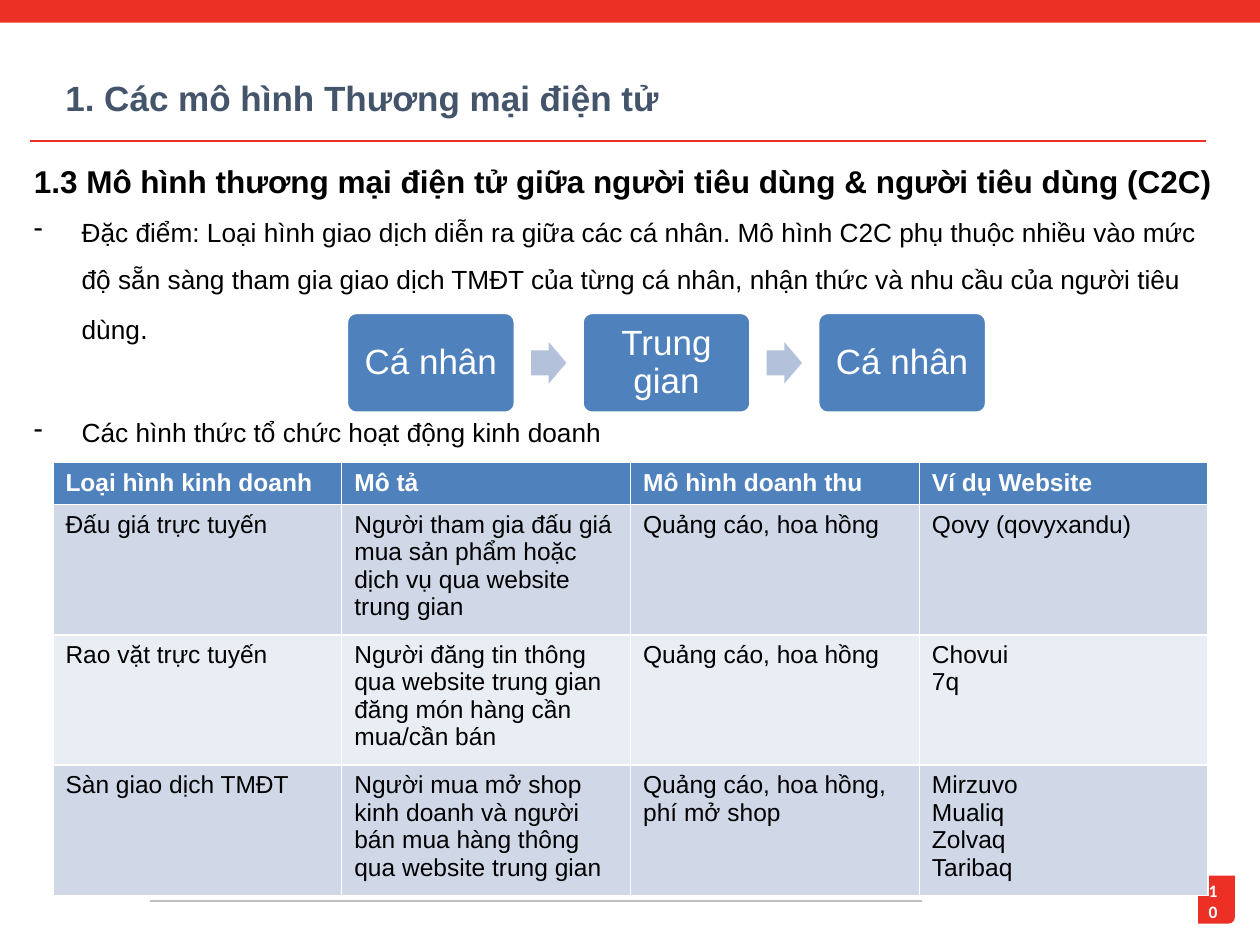
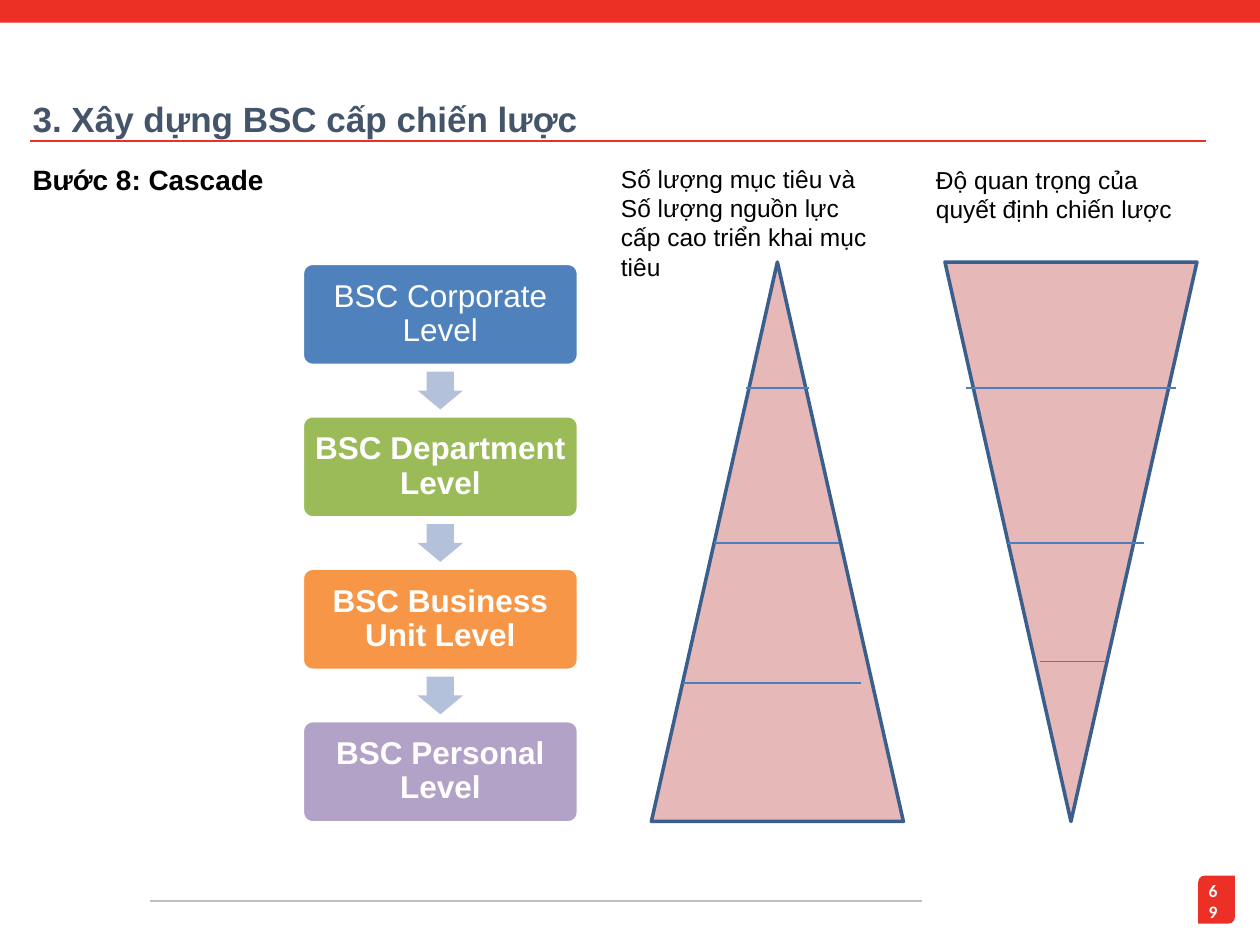
"""Two slides on e-commerce models and cascading a strategic scorecard."""
from lxml.etree import SubElement
from pptx import Presentation
from pptx.dml.color import RGBColor
from pptx.enum.shapes import MSO_CONNECTOR, MSO_SHAPE
from pptx.enum.text import MSO_ANCHOR, PP_ALIGN
from pptx.oxml.ns import qn
from pptx.util import Inches, Pt

RED = RGBColor(0xED, 0x30, 0x26)
SLATE = RGBColor(0x44, 0x54, 0x6A)
GREY = RGBColor(0xBF, 0xBF, 0xBF)
BLACK = RGBColor(0, 0, 0)
WHITE = RGBColor(0xFF, 0xFF, 0xFF)
BLUE = RGBColor(0x4F, 0x81, 0xBD)
GREEN = RGBColor(0x9B, 0xBB, 0x59)
ORANGE = RGBColor(0xF7, 0x96, 0x46)
PURPLE = RGBColor(0xB3, 0xA2, 0xC7)
PALE_ARROW = RGBColor(0xB3, 0xC1, 0xDB)
PINK = RGBColor(0xE6, 0xB9, 0xB8)
NAVY = RGBColor(0x3A, 0x5F, 0x8C)
LEVEL_LINE = RGBColor(0x4B, 0x7E, 0xBC)
BANDS = RGBColor(0xD0, 0xD8, 0xE8), RGBColor(0xE9, 0xED, 0xF4)

C2C = {
    "title": "1. Các mô hình Thương mại điện tử",
    "page": "10",
    "heading": "1.3 Mô hình thương mại điện tử giữa người tiêu dùng & người tiêu dùng (C2C)",
    "feature": "Đặc điểm: Loại hình giao dịch diễn ra giữa các cá nhân. Mô hình C2C phụ thuộc "
               "nhiều vào mức độ sẵn sàng tham gia giao dịch TMĐT của từng cá nhân, nhận thức "
               "và nhu cầu của người tiêu dùng",
    "forms": "Các hình thức tổ chức hoạt động kinh doanh",
    "parties": [("Cá nhân", BLUE, False), ("Trung gian", BLUE, False), ("Cá nhân", BLUE, False)],
    "business": [
        ("Loại hình kinh doanh", "Mô tả", "Mô hình doanh thu", "Ví dụ Website"),
        ("Đấu giá trực tuyến",
         "Người tham gia đấu giá mua sản phẩm hoặc dịch vụ qua website trung gian",
         "Quảng cáo, hoa hồng", "Qovy (qovyxandu)"),
        ("Rao vặt trực tuyến",
         "Người đăng tin thông qua website trung gian đăng món hàng cần mua/cần bán",
         "Quảng cáo, hoa hồng", "Chovui\n7q"),
        ("Sàn giao dịch TMĐT",
         "Người mua mở shop kinh doanh và người bán mua hàng thông qua website trung gian",
         "Quảng cáo, hoa hồng, phí mở shop", "Mirzuvo\nMualiq\nZolvaq\nTaribaq"),
    ],
}

CASCADE = {
    "title": "3. Xây dựng BSC cấp chiến lược",
    "page": "69",
    "step": "Bước 8: Cascade",
    "levels": [("BSC Corporate Level", BLUE, False), ("BSC Department Level", GREEN, True),
               ("BSC Business Unit Level", ORANGE, True), ("BSC Personal Level", PURPLE, True)],
    "triangles": [
        (MSO_SHAPE.ISOSCELES_TRIANGLE, 5.17,
         [(5.92, 6.42, 3.08), (5.67, 6.66, 4.31), (5.42, 6.83, 5.42)]),
        (MSO_SHAPE.FLOWCHART_MERGE, 7.5,
         [(7.67, 9.33, 3.08), (8, 9.08, 4.31), (8.25, 8.78, 5.25)]),
    ],
    "captions": [
        ("Độ quan trọng của quyết định chiến lược", (7.33, 1.26, 2.26, 0.57)),
        ("Số lượng mục tiêu và Số lượng nguồn lực cấp cao triển khai mục tiêu",
         (4.83, 1.25, 2.27, 1.04)),
    ],
}


def add_run(paragraph, text, size, color=BLACK, bold=False, font="Arial"):
    run = paragraph.add_run()
    run.text = text
    run.font.name, run.font.size, run.font.bold = font, Pt(size), bold
    run.font.color.rgb = color


def add_text(slide, box, text, size, color=BLACK, bold=False, font="Arial"):
    frame = slide.shapes.add_textbox(*map(Inches, box)).text_frame
    frame.word_wrap = True
    add_run(frame.paragraphs[0], text, size, color, bold, font)
    return frame


def add_solid(slide, kind, box, fill, line=None, adjustments=()):
    solid = slide.shapes.add_shape(kind, *map(Inches, box))
    solid.shadow.inherit = False
    solid.fill.solid()
    solid.fill.fore_color.rgb = fill
    if line is None:
        solid.line.fill.background()
    else:
        solid.line.color.rgb, solid.line.width = line, Pt(2)
    for index, value in enumerate(adjustments):
        solid.adjustments[index] = value
    return solid


def add_rule(slide, left, right, y, color):
    rule = slide.shapes.add_connector(
        MSO_CONNECTOR.STRAIGHT, Inches(left), Inches(y), Inches(right), Inches(y))
    rule.line.color.rgb, rule.line.width = color, Pt(0.75)
    SubElement(rule._element.spPr, qn("a:effectLst"))


def start_slide(deck, content, title_box):
    slide = deck.slides.add_slide(deck.slide_layouts[6])
    add_solid(slide, MSO_SHAPE.RECTANGLE, (0, 0, 10, 0.18), RED)
    add_solid(slide, MSO_SHAPE.ROUND_2_DIAG_RECTANGLE, (9.51, 6.95, 0.29, 0.38), RED,
              adjustments=(0.167, 0))
    page = add_text(slide, (9.47, 6.95, 0.29, 0.4), content["page"], 10, WHITE, True, "Calibri")
    page.vertical_anchor = MSO_ANCHOR.MIDDLE
    page.paragraphs[0].alignment = PP_ALIGN.RIGHT
    add_rule(slide, 1.19, 7.32, 7.15, GREY)
    add_rule(slide, 0.24, 9.57, 1.12, RED)
    title = add_text(slide, title_box, content["title"], 20, SLATE, True)
    title.vertical_anchor = MSO_ANCHOR.MIDDLE
    title.paragraphs[0].line_spacing = 0.9
    return slide


def add_flow(slide, steps, first_box, pitch, arrow_size, vertical, size, margin):
    left, top, width, height = first_box
    arrow_width, arrow_height = arrow_size
    arrow_kind = MSO_SHAPE.DOWN_ARROW if vertical else MSO_SHAPE.RIGHT_ARROW
    for index, (label, fill, bold) in enumerate(steps):
        x = left + (0 if vertical else index * pitch)
        y = top + (index * pitch if vertical else 0)
        step = add_solid(slide, MSO_SHAPE.ROUNDED_RECTANGLE, (x, y, width, height),
                         fill, WHITE, (0.1,))
        frame = step.text_frame
        frame.word_wrap = True
        frame.vertical_anchor = MSO_ANCHOR.MIDDLE
        frame.margin_left = frame.margin_right = Inches(margin)
        frame.margin_top = frame.margin_bottom = Inches(margin)
        frame.paragraphs[0].alignment = PP_ALIGN.CENTER
        frame.paragraphs[0].line_spacing = 0.9
        add_run(frame.paragraphs[0], label, size, WHITE, bold)
        if index < len(steps) - 1:
            center_x = x + width / 2 + (0 if vertical else pitch / 2)
            center_y = y + height / 2 + (pitch / 2 if vertical else 0)
            add_solid(slide, arrow_kind,
                      (center_x - arrow_width / 2, center_y - arrow_height / 2,
                       arrow_width, arrow_height), PALE_ARROW, adjustments=(0.6, 0.5))


def add_dash_item(frame, text):
    item = frame.add_paragraph()
    properties = item._p.get_or_add_pPr()
    properties.set("marL", str(Inches(0.38)))
    properties.set("indent", str(-Inches(0.38)))
    SubElement(properties, qn("a:buChar"), char="-")
    item.line_spacing = 1.5
    add_run(item, text, 15)
    return item


def add_business_table(slide, rows):
    table = slide.shapes.add_table(len(rows), len(rows[0]), Inches(0.42), Inches(3.67),
                                   Inches(9.17), Inches(3.43)).table
    for row_index, row in enumerate(rows):
        header = row_index == 0
        table.rows[row_index].height = Inches(0.33 if header else 1.03)
        for column_index, text in enumerate(row):
            cell = table.cell(row_index, column_index)
            cell.fill.solid()
            cell.fill.fore_color.rgb = BLUE if header else BANDS[(row_index - 1) % 2]
            for line_index, line in enumerate(text.split("\n")):
                frame = cell.text_frame
                paragraph = frame.add_paragraph() if line_index else frame.paragraphs[0]
                add_run(paragraph, line, 14, WHITE if header else BLACK, header)


def build_c2c(deck):
    slide = start_slide(deck, C2C, (0.42, 0.5, 8.62, 0.59))
    body = add_text(slide, (0.17, 1.09, 9.67, 2.6), C2C["heading"], 18, bold=True)
    body.paragraphs[0].line_spacing = 1.5
    add_run(add_dash_item(body, C2C["feature"]), ".", 16)
    add_dash_item(body, C2C["forms"]).space_before = Pt(32)
    add_business_table(slide, C2C["business"])
    add_flow(slide, C2C["parties"], (2.75, 2.48, 1.34, 0.8), 1.87, (0.28, 0.33),
             vertical=False, size=20, margin=0.08)


def build_cascade(deck):
    slide = start_slide(deck, CASCADE, (0.16, 0.67, 8.62, 0.59))
    add_text(slide, (0.16, 1.24, 9.51, 0.61), CASCADE["step"], 16, bold=True)
    add_flow(slide, CASCADE["levels"], (2.4, 2.09, 2.19, 0.81), 1.21, (0.36, 0.3),
             vertical=True, size=18, margin=0.07)
    for kind, left, cuts in CASCADE["triangles"]:
        add_solid(slide, kind, (left, 2.08, 2, 4.44), PINK, NAVY)
        for start, end, y in cuts:
            add_rule(slide, start, end, y, LEVEL_LINE)
    for caption, box in CASCADE["captions"]:
        add_text(slide, box, caption, 14)


def main():
    deck = Presentation()
    deck.slide_width, deck.slide_height = Inches(10), Inches(7.5)
    build_c2c(deck)
    build_cascade(deck)
    deck.save("out.pptx")


if __name__ == "__main__":
    main()
